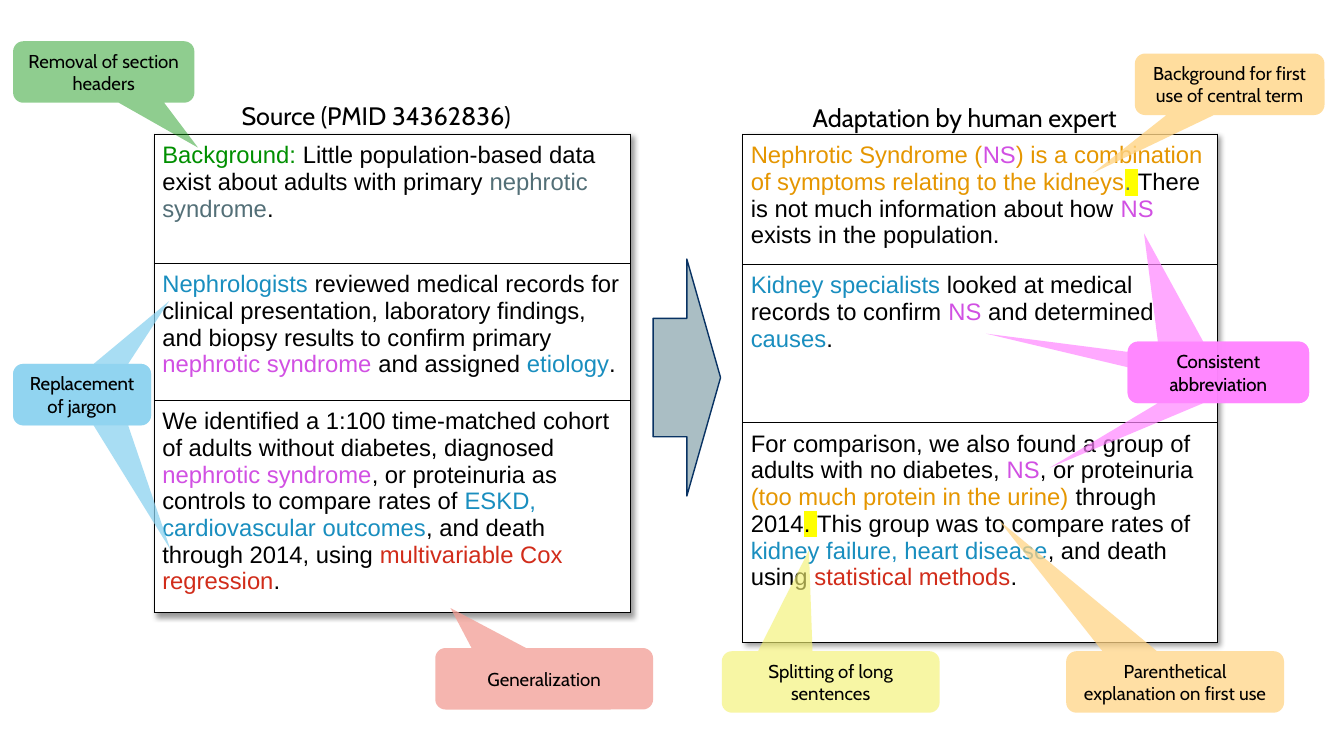
import dataclasses
import typing

import lxml.etree
import pptx
import pptx.dml.color
import pptx.enum.shapes
import pptx.enum.text
import pptx.oxml.ns
import pptx.util

Cm = pptx.util.Cm
Pt = pptx.util.Pt
SHAPE = pptx.enum.shapes.MSO_SHAPE
ALIGN = pptx.enum.text.PP_ALIGN
qn = pptx.oxml.ns.qn

BLACK, WHITE = "000000", "FFFFFF"
GREEN, SLATE, BLUE = "008F00", "536F77", "198EBF"
PINK, AMBER, RED = "D150E3", "E59600", "D12C1A"
YELLOW = "FFFF00"

CELL = dict(margin_left=Cm(0.2), margin_right=Cm(0.2),
            margin_top=Cm(0.2), margin_bottom=Cm(0.2))
PLAIN = dict(first_row=False, horz_banding=False)
BODY = dict(name="Arial", size=Pt(17))
LABEL = dict(name="Cabin", size=Pt(13.3))
HEAD = dict(name="Cabin", size=Pt(18), bold=False)
LINE = dict(alignment=ALIGN.CENTER, space_before=Pt(0))
FRAME = dict(word_wrap=True, auto_size=pptx.enum.text.MSO_AUTO_SIZE.NONE)
MIDDLE = dict(vertical_anchor=pptx.enum.text.MSO_ANCHOR.MIDDLE)
TOP = dict(vertical_anchor=pptx.enum.text.MSO_ANCHOR.TOP)


class Run(typing.NamedTuple):
    text: str
    hue: str = BLACK
    mark: str = ""


@dataclasses.dataclass
class Panel:
    head: str
    slot: int
    spot: tuple[float, float]
    left: float
    width: float
    rows: list[tuple[float, list[Run]]]


@dataclasses.dataclass
class Note:
    text: str
    left: float
    top: float
    width: float
    fill: str
    alpha: int
    tails: list[tuple[float, float]]


PANELS = [
    Panel("Source (PMID 34362836)", 1, (5.11, 2.41), 3.89, 11.99, [
        (3.25, [Run("Background: ", GREEN),
                Run("Little population-based data exist about adults with primary "),
                Run("nephrotic syndrome", SLATE), Run(".")]),
        (3.45, [Run("Nephrologists", BLUE),
                Run(" reviewed medical records for clinical presentation, laboratory "
                    "findings, and biopsy results to confirm primary "),
                Run("nephrotic syndrome ", PINK), Run("and assigned "),
                Run("etiology", BLUE), Run(".")]),
        (5.36, [Run("We identified a 1:100 time-matched cohort of adults without "
                    "diabetes, diagnosed "),
                Run("nephrotic syndrome", PINK),
                Run(", or proteinuria as controls to compare rates of "),
                Run("ESKD, cardiovascular outcomes", BLUE),
                Run(", and death through 2014, using "),
                Run("multivariable Cox regression", RED), Run(".")]),
    ]),
    Panel("Adaptation by human expert", 3, (19.94, 2.44), 18.72, 11.96, [
        (3.28, [Run("Nephrotic Syndrome (", AMBER), Run("NS", PINK),
                Run(") is a combination of symptoms relating to the kidneys", AMBER),
                Run(". ", SLATE, YELLOW),
                Run("There is not much information about how "), Run("NS", PINK),
                Run(" exists in the population.")]),
        (3.99, [Run("Kidney specialists ", BLUE),
                Run("looked at medical records to confirm "), Run("NS ", PINK),
                Run("and determined "), Run("causes", BLUE), Run(".")]),
        (5.54, [Run("For comparison, we also found a group of adults with no diabetes, "),
                Run("NS", PINK), Run(", or proteinuria "),
                Run("(too much protein in the urine) ", AMBER),
                Run("through 2014"), Run(". ", BLACK, YELLOW),
                Run("This group was to compare rates of "),
                Run("kidney failure, heart disease", BLUE),
                Run(", and death using "), Run("statistical methods", RED), Run(".")]),
    ]),
]

NOTES = [
    Note("Background for first use of central term", 28.6, 1.35, 4.78,
         "FFD485", 79, [(-0.72, 1.44)]),
    Note("Replacement of jargon", 0.33, 9.17, 3.48,
         "89D1EF", 73, [(0.63, -1.52), (0.64, 2.52)]),
    Note("Parenthetical explanation on first use", 26.87, 16.41, 5.49,
         "FFD485", 74, [(-0.81, -2.63)]),
    Note("Removal of section headers", 0.33, 1.04, 4.57,
         "008F00", 44, [(0.52, 1.23)]),
    Note("Consistent abbreviation", 28.42, 8.61, 4.57,
         "FF85FF", 70, [(-0.93, 1.55), (-1.28, -0.63), (-0.41, -2.26)]),
    Note("Splitting of long sentences", 18.19, 16.41, 5.49,
         "F4F172", 64, [(-0.1, -2.14)]),
    Note("Generalization", 10.97, 16.33, 5.49,
         "F2A097", 77, [(-0.43, -1.15)]),
]


def put(item: typing.Any, form: dict[str, typing.Any]) -> None:
    """Set each value of form as an attribute of item."""
    for name, value in form.items():
        setattr(item, name, value)


def paint(fill: typing.Any, hue: str) -> None:
    fill.solid()
    fill.fore_color.rgb = pptx.dml.color.RGBColor.from_string(hue)


def node(host: typing.Any, tag: str, **attrs: str) -> typing.Any:
    return lxml.etree.SubElement(host, qn(tag), attrs)


def write(frame: typing.Any, text: str, font: dict, anchor: dict) -> None:
    """Fill a frame with one centred black line of text."""
    put(frame, FRAME | anchor)
    para = frame.paragraphs[0]
    put(para, LINE)
    run = para.add_run()
    run.text = text
    put(run.font, font)
    paint(run.font.fill, BLACK)


def add_runs(para: typing.Any, runs: list[Run]) -> None:
    for part in runs:
        run = para.add_run()
        run.text = part.text
        paint(run.font.fill, part.hue)
        if part.mark:
            light = node(run._r.get_or_add_rPr(), "a:highlight")
            node(light, "a:srgbClr", val=part.mark)
        put(run.font, BODY)


def edge(cell: typing.Any) -> None:
    """Draw a thin black border on all four sides."""
    for side in "LRTB":
        line = node(cell._tc.get_or_add_tcPr(), f"a:ln{side}", w=str(Pt(0.75)))
        node(node(line, "a:solidFill"), "a:srgbClr", val=BLACK)


def shade(table: typing.Any) -> None:
    """Cast a soft shadow to the lower right."""
    effects = lxml.etree.Element(qn("a:effectLst"))
    table._tbl.tblPr.insert(0, effects)
    cast = node(effects, "a:outerShdw", blurRad=str(Pt(4)), dist=str(Pt(3)),
                dir="2700000", algn="tl", rotWithShape="0")
    node(node(cast, "a:srgbClr", val=BLACK), "a:alpha", val="40000")


def add_panel(slide: typing.Any, panel: Panel) -> None:
    head = next(p for p in slide.placeholders
                if p.placeholder_format.idx == panel.slot)
    left, top = panel.spot
    put(head, dict(left=Cm(left), top=Cm(top), width=Cm(8.74), height=Cm(1.02)))
    write(head.text_frame, panel.head, HEAD, TOP)

    total = sum(height for height, _ in panel.rows)
    table = slide.shapes.add_table(len(panel.rows), 1, Cm(panel.left), Cm(3.38),
                                   Cm(panel.width), Cm(total)).table
    put(table, PLAIN)
    shade(table)
    for row, (height, runs) in zip(table.rows, panel.rows):
        row.height = Cm(height)
        cell = row.cells[0]
        put(cell, CELL)
        edge(cell)
        paint(cell.fill, WHITE)
        add_runs(cell.text_frame.paragraphs[0], runs)


def add_note(slide: typing.Any, note: Note) -> None:
    """Draw one callout per tail, grouped when there are several."""
    shapes = slide.shapes
    if len(note.tails) > 1:
        shapes = shapes.add_group_shape().shapes
    for tail in note.tails:
        shape = shapes.add_shape(SHAPE.ROUNDED_RECTANGULAR_CALLOUT, Cm(note.left),
                                 Cm(note.top), Cm(note.width), Cm(1.55))
        shape.shadow.inherit = False
        shape.adjustments[0], shape.adjustments[1] = tail
        paint(shape.fill, note.fill)
        tint = shape._element.spPr.find(qn("a:solidFill"))[0]
        node(tint, "a:alpha", val=str(note.alpha * 1000))
        shape.line.fill.background()
        write(shape.text_frame, note.text, LABEL, MIDDLE)


def add_arrow(slide: typing.Any) -> None:
    arrow = slide.shapes.add_shape(SHAPE.RIGHT_ARROW, Cm(16.46), Cm(6.53),
                                   Cm(1.7), Cm(5.97))
    arrow.shadow.inherit = False
    paint(arrow.fill, "AABEC4")
    paint(arrow.line.fill, "083263")
    arrow.line.width = Pt(1)


def main() -> None:
    deck = pptx.Presentation()
    put(deck, dict(slide_width=Cm(33.87), slide_height=Cm(19.05)))
    slide = deck.slides.add_slide(deck.slide_layouts.get_by_name("Comparison"))
    for panel in PANELS:
        add_panel(slide, panel)
    add_arrow(slide)
    for note in NOTES:
        add_note(slide, note)
    for holder in list(slide.placeholders):
        if not holder.text_frame.text:
            holder._element.getparent().remove(holder._element)
    deck.save("out.pptx")


if __name__ == "__main__":
    main()
